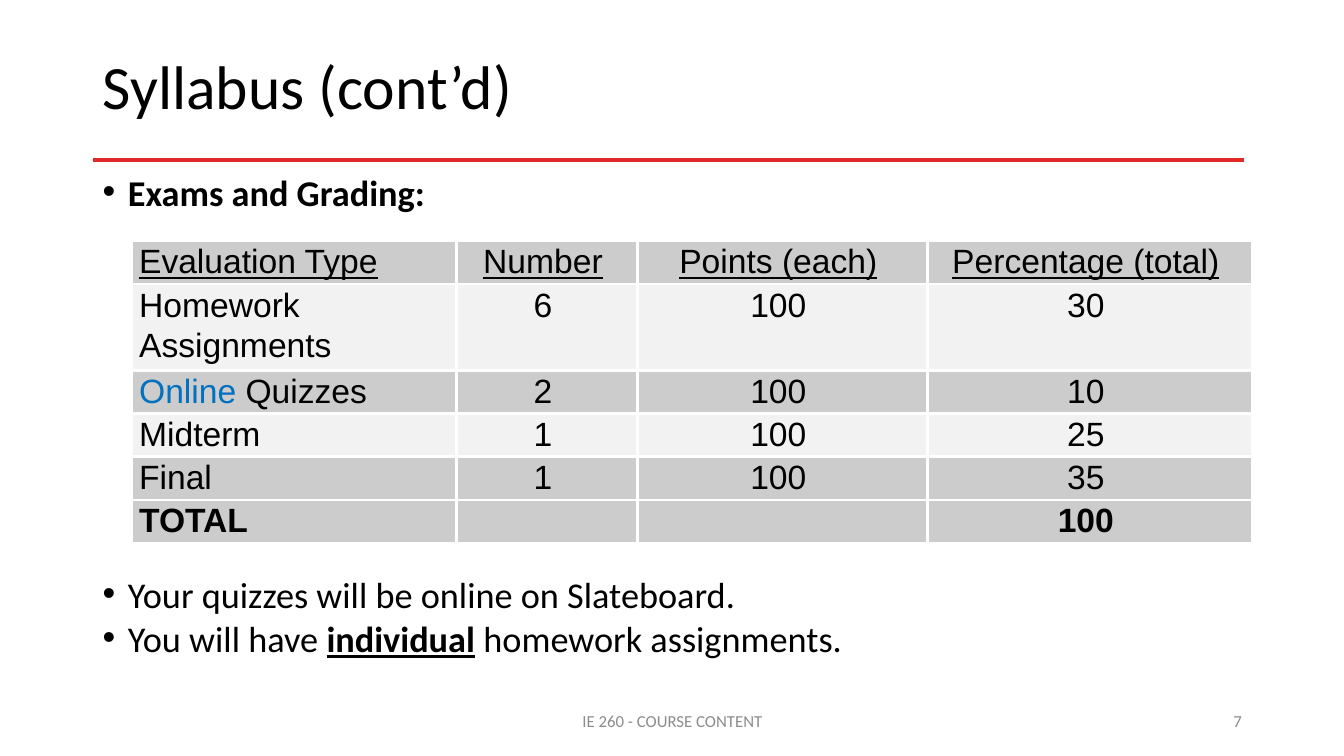
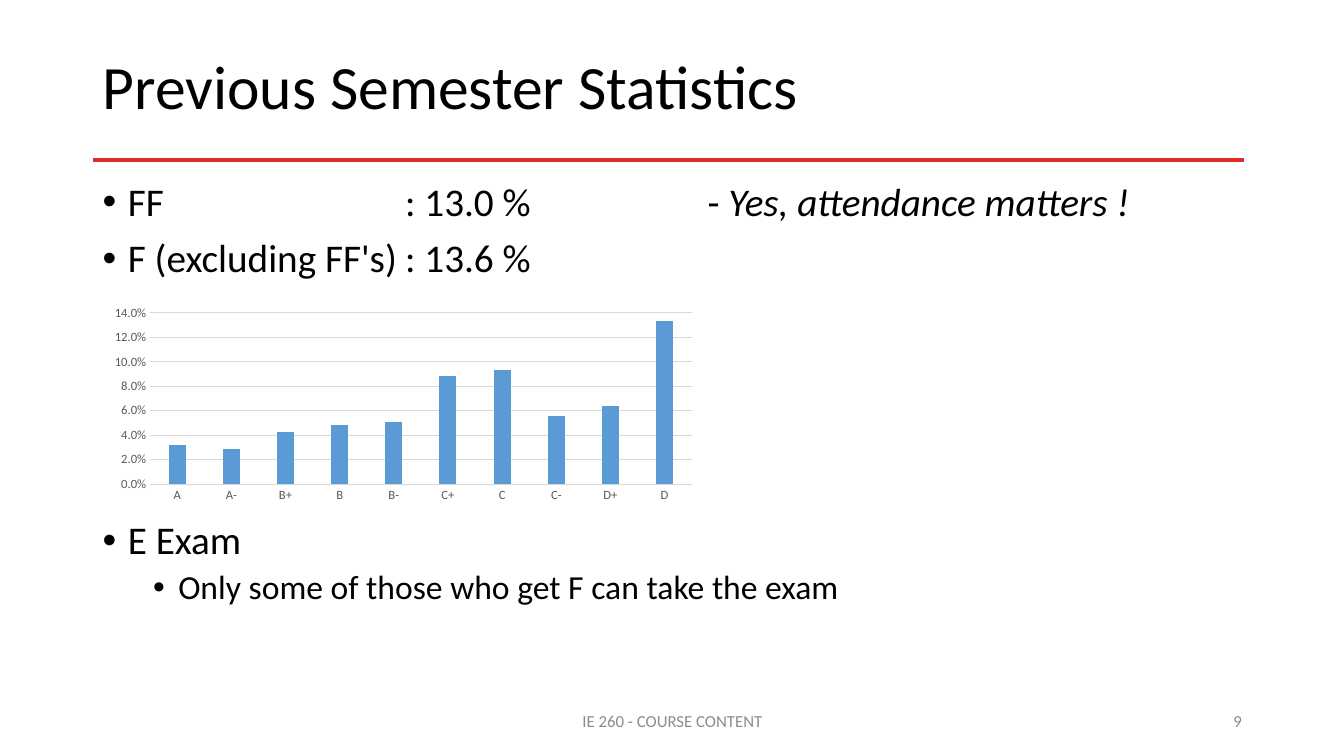
from lxml import etree
from pptx import Presentation
from pptx import util as u
from pptx.chart import data as chart_data
from pptx.dml.color import RGBColor
from pptx.enum import chart as charts, shapes, text
from pptx.oxml import parse_xml
from pptx.oxml.ns import nsdecls, qn

COLORS = {
    "text": "000000", "muted": "8C8C8C", "rule": "E12927", "accent": "0070C0",
    "dark row": "CCCCCC", "light row": "F2F2F2", "border": "FFFFFF",
    "bar": "5B9BD5", "axis text": "595959", "grid": "D9D9D9",
}
FONT, TABLE_FONT = "Calibri", "Arial"
WIDTH, HEIGHT = u.Inches(13.33), u.Inches(7.5)
LEFT, SPAN = 6.9, 86.25  # content column, in percent of the slide width
LEFT_AL, CENTER, RIGHT = (text.PP_ALIGN.LEFT, text.PP_ALIGN.CENTER,
                          text.PP_ALIGN.RIGHT)

GRADING = [
    ("Evaluation Type", "Number", "Points (each)", "Percentage (total)"),
    ("Homework\nAssignments", "6", "100", "30"),
    ([("Online", {"color": "accent"}), (" Quizzes", {})], "2", "100", "10"),
    ("Midterm", "1", "100", "25"),
    ("Final", "1", "100", "35"),
    ("TOTAL", "", "", "100"),
]
GRADING_FILLS = ["dark row", "light row", "dark row",
                 "light row", "dark row", "dark row"]
GRADING_COLUMNS = [3.22, 1.79, 2.88, 3.22]
GRADE_SHARES = {
    "A": 0.032, "A-": 0.029, "B+": 0.043, "B": 0.048, "B-": 0.051,
    "C+": 0.088, "C": 0.093, "C-": 0.056, "D+": 0.064, "D": 0.133,
}


def rgb(name):
    return RGBColor.from_string(COLORS[name])


def across(percent):
    return round(WIDTH * percent / 100)


def down(percent):
    return round(HEIGHT * percent / 100)


def area(left, top, width, height):
    """Turn percentages of the slide into a position and a size."""
    return across(left), down(top), across(width), down(height)


def style(font, size, color="text", name=FONT, bold=False, italic=False,
          underline=False):
    font.size, font.name = u.Pt(size), name
    font.bold, font.italic, font.underline = bold, italic, underline
    font.color.rgb = rgb(color)


def write(paragraph, content, align=LEFT_AL, spacing=1.0, before=0, **font):
    """Fill a paragraph with a string or a list of (string, font changes)."""
    paragraph.alignment = align
    paragraph.line_spacing = spacing
    paragraph.space_before = u.Pt(before)
    runs = [(content, {})] if isinstance(content, str) else content
    for words, changes in runs:
        run = paragraph.add_run()
        run.text = words
        style(run.font, **{**font, **changes})


def add_frame(slide, place, anchor=text.MSO_ANCHOR.TOP):
    frame = slide.shapes.add_textbox(*area(*place)).text_frame
    frame.word_wrap = True
    frame.vertical_anchor = anchor
    return frame


def add_label(slide, place, content, **form):
    frame = add_frame(slide, place, text.MSO_ANCHOR.MIDDLE)
    write(frame.paragraphs[0], content, **form)


def set_bullet(paragraph, level, tabs):
    props = paragraph._p.get_or_add_pPr()
    props.set("marL", str(u.Inches(0.25 + 0.5 * level)))
    props.set("indent", str(-u.Inches(0.25)))
    etree.SubElement(props, qn("a:buFont"), typeface="Arial")
    etree.SubElement(props, qn("a:buChar"), char="•")
    if tabs:
        stops = etree.SubElement(props, qn("a:tabLst"))
        for stop in tabs:
            etree.SubElement(stops, qn("a:tab"), pos=str(u.Inches(stop)),
                             algn="l")


def add_bullets(slide, top, height, items, size, spacing, before=10, tabs=()):
    """Add a bulleted list from (level, content) pairs."""
    frame = add_frame(slide, (LEFT, top, SPAN, height))
    for index, (level, content) in enumerate(items):
        paragraph = frame.add_paragraph() if index else frame.paragraphs[0]
        set_bullet(paragraph, level, tabs)
        paragraph.level = level
        gap = before / (level + 1) if index else 0
        write(paragraph, content, size=size - 4 * level, spacing=spacing,
              before=gap)


def add_rule(slide):
    y = down(21.2)
    rule = slide.shapes.add_connector(shapes.MSO_CONNECTOR.STRAIGHT,
                                      across(LEFT), y, across(92.57), y)
    rule.line.color.rgb = rgb("rule")
    rule.line.width = u.Pt(3)
    etree.SubElement(rule._element.spPr, qn("a:effectLst"))


def add_page(deck, title, number):
    """Add a slide with the shared title, rule and footer."""
    slide = deck.slides.add_slide(deck.slide_layouts[6])
    add_rule(slide)
    add_label(slide, (LEFT, 2.13, SPAN, 19.33), title, size=44, spacing=0.9)
    footer = {"size": 12, "color": "muted"}
    add_label(slide, (33.16, 92.67, 33.76, 5.33), "IE 260 - COURSE CONTENT",
              align=CENTER, **footer)
    add_label(slide, (70.64, 92.67, 22.51, 5.33), str(number),
              align=RIGHT, **footer)
    return slide


def set_borders(cell):
    props = cell._tc.get_or_add_tcPr()
    for index, side in enumerate("LRTB"):
        props.insert(index, parse_xml(
            f'<a:ln{side} {nsdecls("a")} w="{u.Pt(2.25)}"><a:solidFill>'
            f'<a:srgbClr val="{COLORS["border"]}"/></a:solidFill></a:ln{side}>'))


def fill_cell(cell, content, fill, centered, **font):
    cell.fill.solid()
    cell.fill.fore_color.rgb = rgb(fill)
    set_borders(cell)
    cell.margin_top = cell.margin_bottom = 0
    cell.margin_left = u.Inches(0.07)
    cell.margin_right = u.Inches(0.15 if centered else 0.06)
    lines = content.split("\n") if isinstance(content, str) else [content]
    for index, line in enumerate(lines):
        frame = cell.text_frame
        paragraph = frame.add_paragraph() if index else frame.paragraphs[0]
        if line:
            write(paragraph, line, align=CENTER if centered else LEFT_AL,
                  spacing=1.07, size=24, name=TABLE_FONT, **font)


def add_grading_table(slide):
    rows, columns = len(GRADING), len(GRADING_COLUMNS)
    table = slide.shapes.add_table(
        rows, columns, *area(9.83, 31.87, 83.35, 37.33)).table
    table.first_row = table.horz_banding = False
    for column, width in zip(table.columns, GRADING_COLUMNS):
        column.width = u.Inches(width)
    for r, (entries, fill) in enumerate(zip(GRADING, GRADING_FILLS)):
        table.rows[r].height = u.Inches(0.8 if r == 1 else 0.4)
        for c, entry in enumerate(entries):
            fill_cell(table.cell(r, c), entry, fill, centered=c > 0,
                      underline=r == 0, bold=r == rows - 1)


def style_axis(axis):
    axis.major_tick_mark = axis.minor_tick_mark = charts.XL_TICK_MARK.NONE
    style(axis.tick_labels.font, 9, "axis text")


def add_grade_chart(slide):
    data = chart_data.CategoryChartData(number_format="0.0%")
    data.categories = list(GRADE_SHARES)
    data.add_series("Series 1", list(GRADE_SHARES.values()))
    chart = slide.shapes.add_chart(charts.XL_CHART_TYPE.COLUMN_CLUSTERED,
                                   *area(7.65, 39.87, 44.71, 27.2), data).chart
    chart.has_legend = chart.has_title = False
    style(chart.font, 10)
    plot = chart.plots[0]
    plot.gap_width, plot.overlap = 219, -27
    plot.vary_by_categories = False
    bars = plot.series[0].format.fill
    bars.solid()
    bars.fore_color.rgb = rgb("bar")

    grades, shares = chart.category_axis, chart.value_axis
    style_axis(grades)
    style_axis(shares)
    shares.minimum_scale, shares.maximum_scale = 0, 0.14
    shares.major_unit = 0.02
    shares.tick_labels.number_format = "0.0%"
    shares.tick_labels.number_format_is_linked = False
    shares.format.line.fill.background()
    for line in (grades.format.line, shares.major_gridlines.format.line):
        line.color.rgb = rgb("grid")
        line.width = u.Pt(0.75)


def add_syllabus(deck):
    slide = add_page(deck, "Syllabus (cont’d)", 7)
    form = {"size": 25.9, "spacing": 0.7, "before": 9.5}
    add_bullets(slide, 23.47, 6.67,
                [(0, [("Exams and Grading:", {"bold": True})])], **form)
    add_grading_table(slide)
    add_bullets(slide, 76.67, 14, [
        (0, "Your quizzes will be online on Slateboard."),
        (0, [("You will have ", {}),
             ("individual", {"bold": True, "underline": True}),
             (" homework assignments.", {})]),
    ], **form)


def add_statistics(deck):
    slide = add_page(deck, "Previous Semester Statistics", 9)
    form = {"size": 28, "spacing": 0.9}
    add_bullets(slide, 23.47, 16, [
        (0, [("FF\t: 13.0 %\t- ", {}),
             ("Yes, attendance matters !", {"italic": True})]),
        (0, "F (excluding FF's)\t: 13.6 %"),
    ], tabs=(3, 6), **form)
    add_grade_chart(slide)
    add_bullets(slide, 68.27, 18, [
        (0, "E Exam"),
        (1, "Only some of those who get F can take the exam"),
    ], **form)


def main():
    deck = Presentation()
    deck.slide_width, deck.slide_height = WIDTH, HEIGHT
    add_syllabus(deck)
    add_statistics(deck)
    deck.save("out.pptx")


if __name__ == "__main__":
    main()
